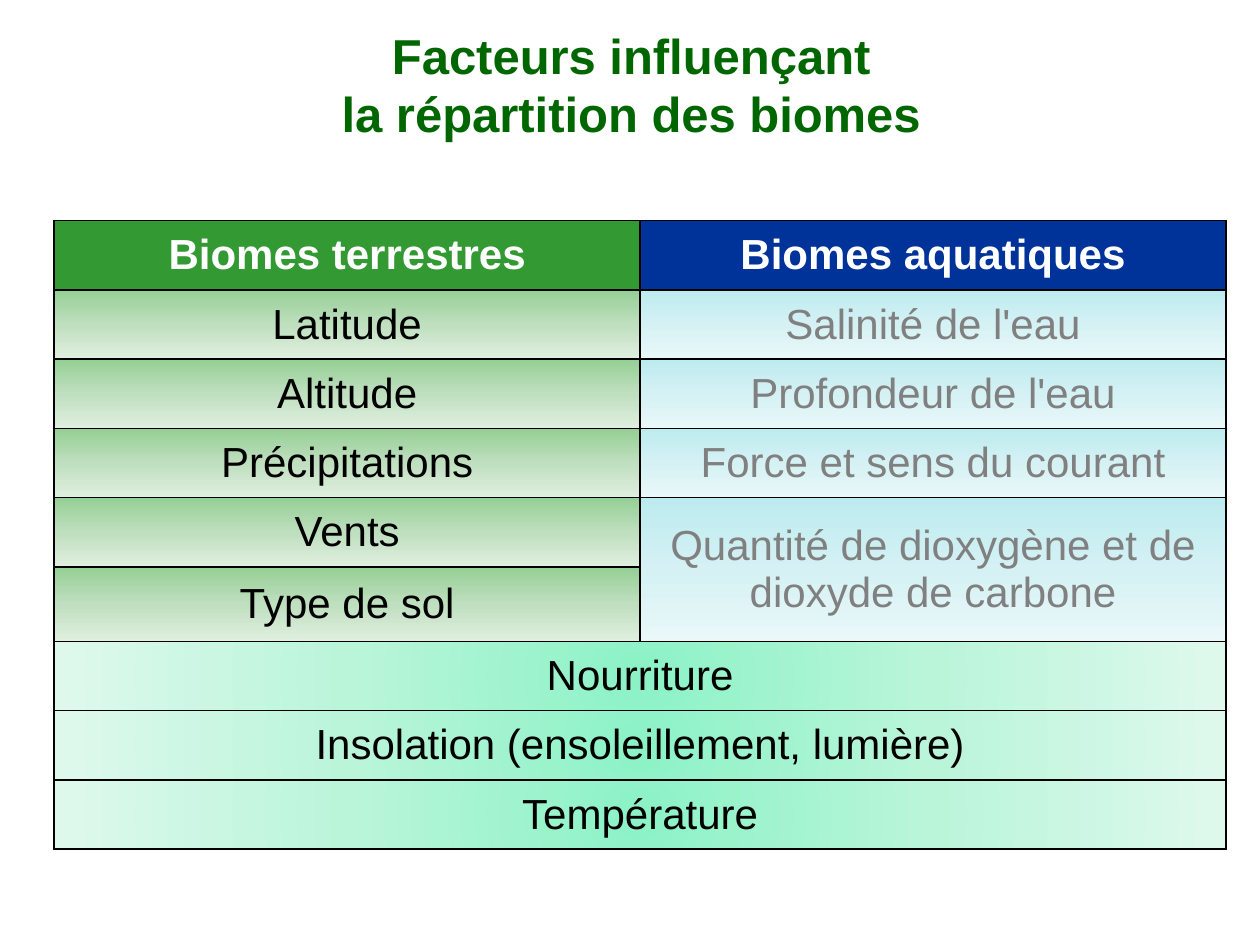
from pptx import Presentation
from pptx import oxml, util as u
from pptx.dml.color import RGBColor
from pptx.enum import text
from pptx.oxml.ns import nsdecls

COLORS = {
    "title": "006600", "white": "FFFFFF", "black": "000000", "grey": "808080",
    "land": "339933", "water": "003399",
}
GRADIENTS = {
    "land": ["95CF95", "BFDFBF", "E0EFE0"],
    "water": ["BCEBEF", "D5F1F4", "EAF8F9"],
    "shared": ["8CF2C6", "BAF5DA", "DEF9EC"],
}
LINEAR = '<a:lin ang="5400000" scaled="1"/>'
RADIAL = '<a:path path="circle"><a:fillToRect l="50000" t="50000" r="50000" b="50000"/></a:path>'


def write_text(frame, content, size, color, bold):
    paragraph = frame.paragraphs[0]
    paragraph.text = content
    paragraph.alignment = text.PP_ALIGN.CENTER
    for run in paragraph.runs:
        for name, value in {"name": "Arial", "size": u.Pt(size), "bold": bold}.items():
            setattr(run.font, name, value)
        run.font.color.rgb = RGBColor.from_string(COLORS[color])


def fill_gradient(cell, stops, direction):
    stop_xml = "".join(
        f'<a:gs pos="{index * 50000}"><a:srgbClr val="{stop}"/></a:gs>'
        for index, stop in enumerate(stops))
    cell._tc.get_or_add_tcPr().append(oxml.parse_xml(
        f'<a:gradFill {nsdecls("a")} rotWithShape="1"><a:gsLst>{stop_xml}</a:gsLst>'
        f'{direction}</a:gradFill>'))


presentation = Presentation()
presentation.slide_width, presentation.slide_height = u.Inches(10), u.Inches(7.5)
slide = presentation.slides.add_slide(presentation.slide_layouts[6])

# Title
title = slide.shapes.add_textbox(u.Inches(0.51), u.Inches(0.04), u.Inches(9), u.Inches(1.25))
title.text_frame.word_wrap = True
title.text_frame.vertical_anchor = text.MSO_ANCHOR.MIDDLE
write_text(title.text_frame, "Facteurs influençant\vla répartition des biomes", 28, "title", True)

# Table content: two columns of factors, then the shared ones
headers = ["Biomes terrestres", "Biomes aquatiques"]
factors = [
    ("land", "black", ["Latitude", "Altitude", "Précipitations", "Vents", "Type de sol"]),
    ("water", "grey", ["Salinité de l'eau", "Profondeur de l'eau", "Force et sens du courant",
                       "Quantité de dioxygène et de dioxyde de carbone"]),
]
shared_factors = ["Nourriture", "Insolation (ensoleillement, lumière)", "Température"]
first_shared_row = 6
row_heights = [0.55] * 5 + [0.59] + [0.55] * 3

# Table grid
frame = slide.shapes.add_table(len(row_heights), 2, u.Inches(0.43), u.Inches(1.75),
                               u.Inches(9.3), u.Inches(sum(row_heights)))
table = frame.table
table.horz_banding = False
for column in table.columns:
    column.width = u.Inches(4.65)
for row, height in zip(table.rows, row_heights):
    row.height = u.Inches(height)

# Cell margins and borders
cell_format = {
    "margin_left": u.Inches(0.02), "margin_right": u.Inches(0.02),
    "margin_top": u.Inches(0.01), "margin_bottom": u.Inches(0.01),
    "vertical_anchor": text.MSO_ANCHOR.MIDDLE,
}
for cell in table.iter_cells():
    for name, value in cell_format.items():
        setattr(cell, name, value)
    for side in ("lnL", "lnR", "lnT", "lnB"):
        cell._tc.get_or_add_tcPr().append(oxml.parse_xml(
            f'<a:{side} {nsdecls("a")} w="12700"><a:solidFill>'
            f'<a:srgbClr val="{COLORS["black"]}"/></a:solidFill></a:{side}>'))

# Merged cells
table.cell(4, 1).merge(table.cell(5, 1))
for row_index in range(first_shared_row, len(row_heights)):
    table.cell(row_index, 0).merge(table.cell(row_index, 1))

# Headers and factors of each column
for column_index, (kind, color, names) in enumerate(factors):
    header = table.cell(0, column_index)
    header.fill.solid()
    header.fill.fore_color.rgb = RGBColor.from_string(COLORS[kind])
    write_text(header.text_frame, headers[column_index], 24, "white", True)
    for row_index, name in enumerate(names, 1):
        cell = table.cell(row_index, column_index)
        fill_gradient(cell, GRADIENTS[kind], LINEAR)
        write_text(cell.text_frame, name, 24, color, False)

# Shared factors
for row_index, name in enumerate(shared_factors, first_shared_row):
    cell = table.cell(row_index, 0)
    fill_gradient(cell, GRADIENTS["shared"], RADIAL)
    write_text(cell.text_frame, name, 24, "black", False)

presentation.save("out.pptx")
